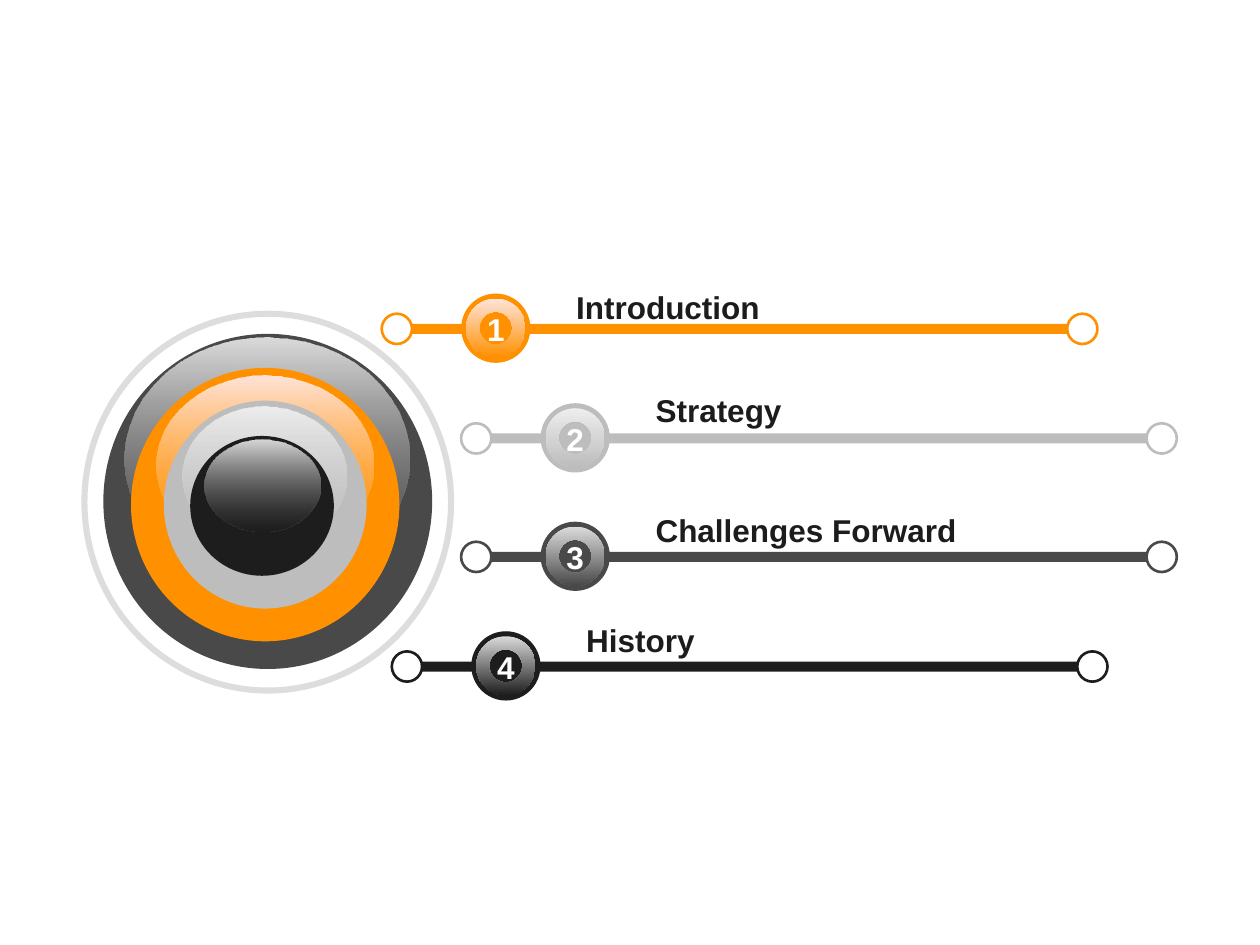
import pptx
import pptx.util
import pptx.dml.color
import pptx.enum.shapes
import pptx.enum.text
import lxml.etree

COLORS = {
    "orange": "FF9000", "silver": "BDBDBD", "gray": "494949", "black": "1D1D1D",
    "orange_light": "FFE4D9", "silver_light": "EDEDED", "gray_light": "DBDBDB", "black_light": "D9D9D9",
    "white": "FFFFFF", "halo": "DDDDDD", "text": "1C1C1C",
}
FORMS = pptx.enum.shapes.MSO_SHAPE
LEFT = pptx.enum.text.PP_ALIGN.LEFT
CENTER = pptx.enum.text.PP_ALIGN.CENTER
FONT = {"name": "Arial", "size": pptx.util.Pt(18), "bold": True}
FRAME = {"word_wrap": True, "vertical_anchor": pptx.enum.text.MSO_ANCHOR.MIDDLE}

deck = pptx.Presentation()
deck.slide_width = pptx.util.Inches(10)
deck.slide_height = pptx.util.Inches(7.5)
column = deck.slide_width / 100
row = deck.slide_height / 75
page = deck.slides.add_slide(deck.slide_layouts[6])


def add_form(parent, form, left, top, width, height, fill=None, light=None, line=None, weight=1.5, opacity=100):
    shape = parent.shapes.add_shape(
        form, round(left * column), round(top * row), round(width * column), round(height * row))
    shape.shadow.inherit = False
    if light:
        shape.fill.gradient()
        shape.fill.gradient_angle = 270
        for stop, position, name in zip(shape.fill.gradient_stops, (0, 1), (light, fill)):
            stop.position = position
            stop.color.rgb = pptx.dml.color.RGBColor.from_string(COLORS[name])
        if opacity < 100:
            color = shape.element.findall(".//" + pptx.oxml.ns.qn("a:gs"))[-1][0]
            lxml.etree.SubElement(color, pptx.oxml.ns.qn("a:alpha"), val=str(opacity * 1000))
    elif fill:
        shape.fill.solid()
        shape.fill.fore_color.rgb = pptx.dml.color.RGBColor.from_string(COLORS[fill])
    else:
        shape.fill.background()
    if line:
        shape.line.color.rgb = pptx.dml.color.RGBColor.from_string(COLORS[line])
        shape.line.width = pptx.util.Pt(weight)
    else:
        shape.line.fill.background()
    return shape


def add_text(left, top, width, height, text, color, alignment):
    box = add_form(page, FORMS.ROUNDED_RECTANGLE, left, top, width, height)
    for name, value in FRAME.items():
        setattr(box.text_frame, name, value)
    para = box.text_frame.paragraphs[0]
    para.alignment = alignment
    span = para.add_run()
    span.text = text
    for name, value in FONT.items():
        setattr(span.font, name, value)
    span.font.color.rgb = pptx.dml.color.RGBColor.from_string(COLORS[color])


agenda = [
    ("Introduction", "orange", 36.6, 23.3, 1.5),
    ("Strategy", "silver", 42.9, 32.0, 2.0),
    ("Challenges Forward", "gray", 42.9, 41.4, 1.9),
    ("History", "black", 37.4, 50.1, 1.9),
]
for number, (title, color, left, top, lift) in enumerate(agenda, 1):
    add_text(left + 7.9, top - lift, 39.4, 5.1, title, "text", LEFT)
    add_form(page, FORMS.RECTANGLE, left - 4.7, top + 2.4, 53.5, 0.8, color)
    add_form(page, FORMS.OVAL, left, top, 5.5, 5.5, color)
    for offset in (-6.3, 48.1):
        add_form(page, FORMS.OVAL, left + offset, top + 1.6, 2.4, 2.4, "white", line=color)
    add_text(left, top + 0.2, 5.5, 5.2, str(number), "white", CENTER)
    ring = add_form(page, FORMS.DONUT, left + 0.4, top + 0.4, 4.7, 4.7, color, color + "_light")
    ring.adjustments[0] = 0.22

target = page.shapes.add_group_shape()
add_form(target, FORMS.OVAL, 6.7, 24.9, 29.1, 29.9, "white", line="halo", weight=3.5)
discs = [
    ("gray", (8.2, 26.5, 26.1, 26.6), (9.9, 26.8, 22.6, 19.2)),
    ("orange", (10.4, 29.2, 21.3, 21.7), (12.4, 29.8, 17.2, 14.2)),
    ("silver", (13.0, 31.8, 16.1, 16.5), (14.5, 32.3, 13.0, 10.9)),
    ("black", (15.1, 34.6, 11.4, 11.1), (16.2, 34.9, 9.2, 7.3)),
]
for color, disc, gloss in discs:
    add_form(target, FORMS.OVAL, *disc, color)
    add_form(target, FORMS.OVAL, *gloss, color, color + "_light", opacity=37)

deck.save("out.pptx")
